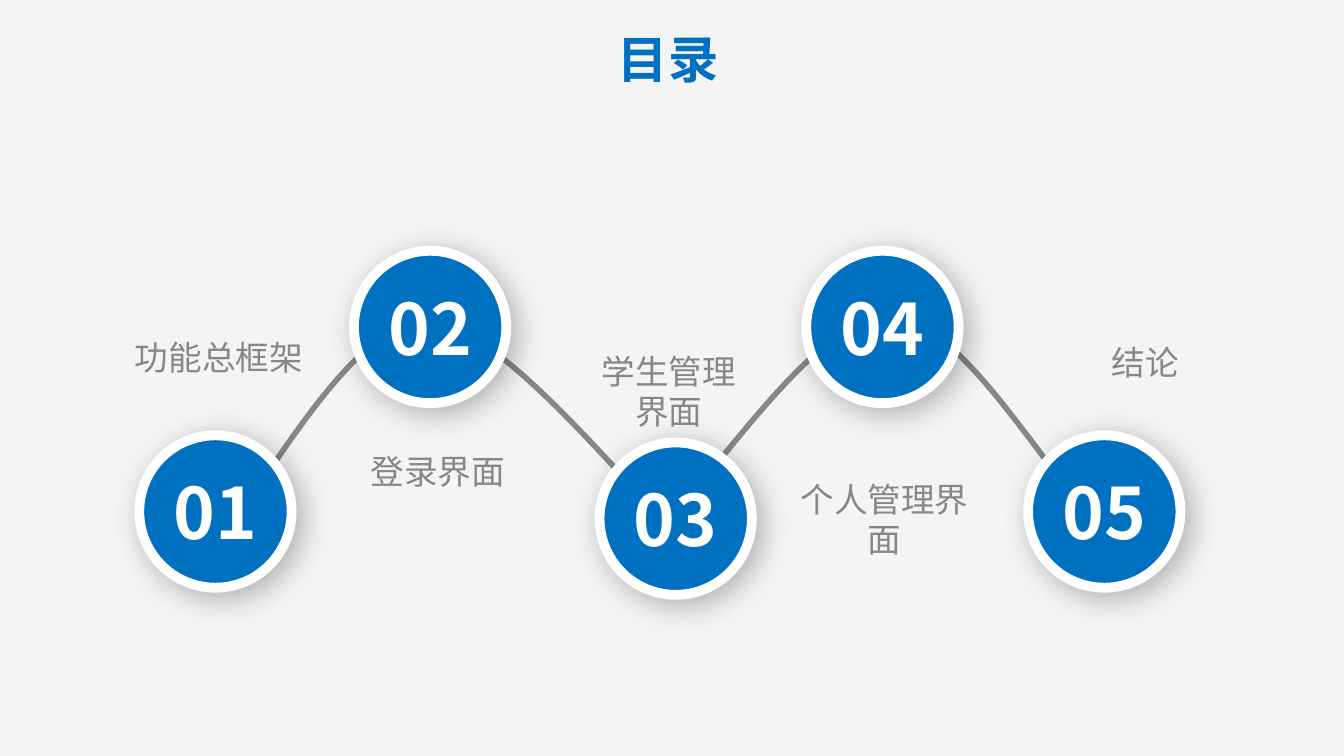
from dataclasses import dataclass

from lxml.etree import SubElement
from pptx import Presentation
from pptx.dml.color import RGBColor
from pptx.enum.shapes import MSO_SHAPE
from pptx.enum.text import MSO_ANCHOR, PP_ALIGN
from pptx.oxml.ns import qn
from pptx.util import Cm, Pt


@dataclass(frozen=True)
class Theme:
    font: str = "Noto Sans CJK SC"
    background: RGBColor = RGBColor(0xF4, 0xF4, 0xF4)
    blue: RGBColor = RGBColor(0x00, 0x70, 0xC0)
    gray: RGBColor = RGBColor(0x87, 0x87, 0x87)
    white: RGBColor = RGBColor(0xFF, 0xFF, 0xFF)
    title_size: float = 36
    label_size: float = 24
    number_size: float = 50.6
    path_width: float = 4
    ring_width: float = 7


THEME = Theme()
DIAMETER = 3.84

# Label, label box (left, top, width, height) and circle corner, in cm
CHAPTERS = [
    ("功能总框架", (3.0, 8.36, 5.03, 1.27), (3.51, 10.97)),
    ("登录界面", (9.04, 11.23, 3.99, 1.27), (8.92, 6.32)),
    ("学生管理界面", (14.53, 8.71, 4.65, 2.31), (15.11, 11.15)),
    ("个人管理界面", (19.71, 11.94, 5.16, 2.31), (20.32, 6.32)),
    ("结论", (25.4, 8.48, 6.93, 1.27), (25.91, 10.97)),
]

# Start of the winding path, then two control points and an end per curve, in cm
PATH_START = (5.79, 13.23)
PATH_CURVES = [
    ((6.6, 12.4), (8.86, 8.08), (10.72, 8.08)),
    ((12.57, 8.08), (15.88, 12.4), (16.89, 13.23)),
    ((17.93, 14.07), (16.0, 13.97), (16.89, 13.08)),
    ((17.81, 12.19), (20.6, 8.0), (22.33, 7.92)),
    ((24.05, 7.87), (26.24, 11.71), (27.28, 12.7)),
]


def write(tf, text, size, color, bold=False):
    tf.text = text
    p = tf.paragraphs[0]
    p.alignment = PP_ALIGN.CENTER
    r = p.runs[0]
    r.font.name = THEME.font
    r.font.size = Pt(size)
    r.font.bold = bold
    r.font.color.rgb = color
    SubElement(r.font._element, qn("a:ea"), typeface=THEME.font)


def add_title(s, text):
    sp = s.shapes.title
    sp.left, sp.top, sp.width, sp.height = Cm(11.84), Cm(0.58), Cm(10), Cm(1.8)
    sp.text_frame.vertical_anchor = MSO_ANCHOR.MIDDLE
    write(sp.text_frame, text, THEME.title_size, THEME.blue, bold=True)


def curve_points(start, curves, steps=24):
    """Sample a chain of cubic Bézier curves, leaving out the start point."""
    points = []
    for c1, c2, end in curves:
        for i in range(1, steps + 1):
            t = i / steps
            u = 1 - t
            weights = (u**3, 3 * u * u * t, 3 * u * t * t, t**3)
            points.append(tuple(
                Cm(sum(w * v for w, v in zip(weights, values)))
                for values in zip(start, c1, c2, end)
            ))
        start = end
    return points


def add_path(s):
    x, y = PATH_START
    builder = s.shapes.build_freeform(Cm(x), Cm(y))
    builder.add_line_segments(curve_points(PATH_START, PATH_CURVES), close=False)
    sp = builder.convert_to_shape()
    sp.shadow.inherit = False
    sp.fill.background()
    sp.line.color.rgb = THEME.gray
    sp.line.width = Pt(THEME.path_width)


def add_label(s, text, box):
    tf = s.shapes.add_textbox(*map(Cm, box)).text_frame
    tf.word_wrap = True
    write(tf, text, THEME.label_size, THEME.gray)


def add_soft_shadow(sp):
    sp.shadow.inherit = False
    effects = sp._element.spPr.find(qn("a:effectLst"))
    shadow = SubElement(effects, qn("a:outerShdw"), blurRad=str(Pt(22)),
                        dist=str(Pt(6)), dir="2700000", algn="tl", rotWithShape="0")
    color = SubElement(shadow, qn("a:srgbClr"), val="000000")
    SubElement(color, qn("a:alpha"), val="28000")


def add_number(s, number, corner):
    left, top = corner
    sp = s.shapes.add_shape(MSO_SHAPE.OVAL, Cm(left), Cm(top), Cm(DIAMETER), Cm(DIAMETER))
    sp.fill.solid()
    sp.fill.fore_color.rgb = THEME.blue
    sp.line.color.rgb = THEME.white
    sp.line.width = Pt(THEME.ring_width)
    add_soft_shadow(sp)
    tf = sp.text_frame
    tf.margin_left = tf.margin_right = tf.margin_top = tf.margin_bottom = 0
    tf.vertical_anchor = MSO_ANCHOR.MIDDLE
    tf.word_wrap = False
    write(tf, f"{number:02}", THEME.number_size, THEME.white, bold=True)


def main():
    prs = Presentation()
    prs.slide_width, prs.slide_height = Cm(33.87), Cm(19.05)
    s = prs.slides.add_slide(prs.slide_layouts[5])
    s.background.fill.solid()
    s.background.fill.fore_color.rgb = THEME.background

    add_title(s, "目录")
    add_path(s)
    for number, (label, box, corner) in enumerate(CHAPTERS, start=1):
        add_label(s, label, box)
        add_number(s, number, corner)

    prs.save("out.pptx")


if __name__ == "__main__":
    main()
